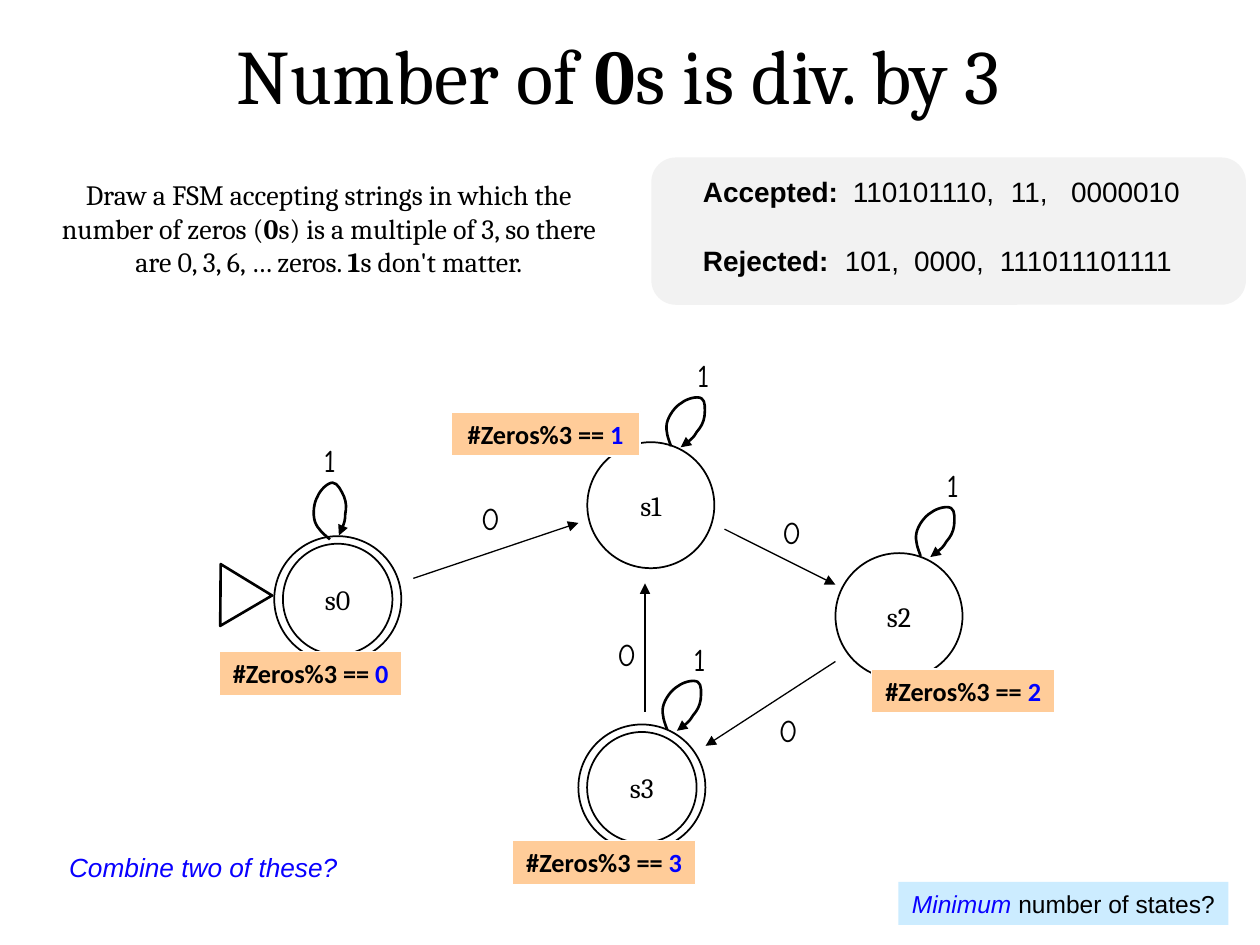
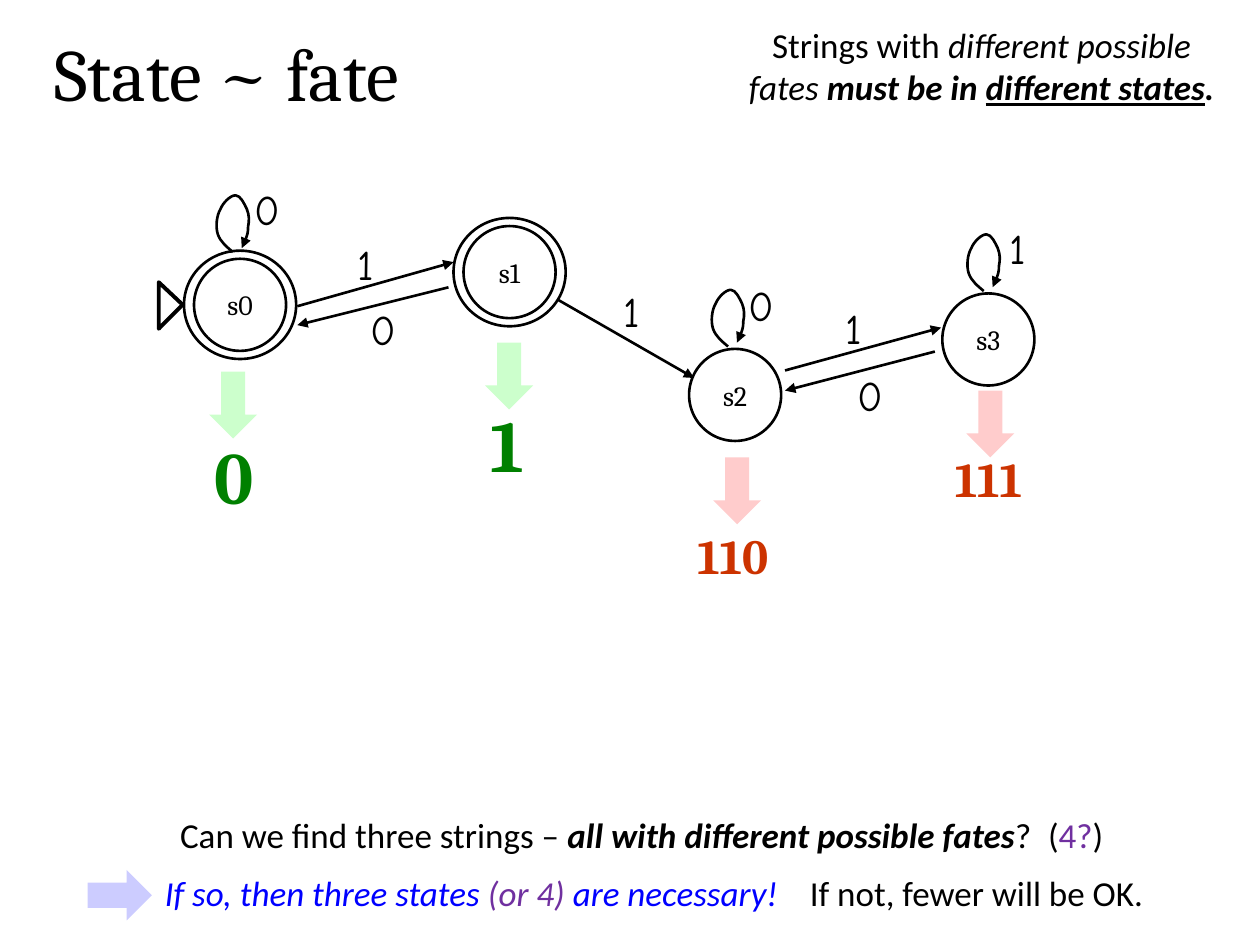
import dataclasses

import lxml.etree
import pptx
import pptx.dml.color
import pptx.enum.shapes
import pptx.enum.text
import pptx.oxml.ns
import pptx.util

Pt = pptx.util.Pt
qn = pptx.oxml.ns.qn
Kind = pptx.enum.shapes.MSO_SHAPE
Align = pptx.enum.text.PP_ALIGN
Anchor = pptx.enum.text.MSO_ANCHOR


@dataclasses.dataclass(frozen=True)
class Theme:
    ink: str = "000000"
    blue: str = "0000FF"
    link: str = "0900FF"
    plum: str = "7030A0"
    gray: str = "F2F2F2"
    sky: str = "CCECFF"
    peach: str = "FFCC99"
    white: str = "FFFFFF"
    mint: str = "CCFFCC"
    rose: str = "FFCCCC"
    green: str = "008000"
    red: str = "CC3300"
    serif: str = "Cambria"
    sans: str = "Arial"
    plain: str = "Calibri"
    hand: str = "Comic Neue"
    head: int = 44
    large: int = 42
    mid: int = 28
    bit: int = 24
    note: int = 20
    mark: int = 18
    text: int = 16
    tag: int = 15
    small: int = 14


THEME = Theme()
BOLD = {"bold": True}
SLANT = {"italic": True}
LOOP = [(10, 32.4), (6.5, 29.5), (2.9, 26.6), (1.4, 22.3), (0, 18), (0.7, 11.5),
        (2.9, 7.9), (4.3, 4.3), (8.6, 0), (11.5, 0), (14.4, 0), (16.6, 5),
        (18, 7.9), (19.4, 11.5), (19.4, 14.4), (18.7, 18), (18.7, 21.6),
        (17.3, 25.9), (15.1, 30.2)]


def tint(code):
    return pptx.dml.color.RGBColor.from_string(code)


def base(name, size, color=THEME.ink, **more):
    return {"name": name, "size": Pt(size), "color": color, **more}


def style(font, form):
    for key, value in form.items():
        if key == "color":
            font.color.rgb = tint(value)
        else:
            setattr(font, key, value)


def write(frame, lines, form, align=Align.CENTER, wrap=True, anchor=Anchor.TOP,
          tabs=(), **space):
    settings = {"word_wrap": wrap, "vertical_anchor": anchor,
                "auto_size": pptx.enum.text.MSO_AUTO_SIZE.NONE}
    for key, value in settings.items():
        setattr(frame, key, value)
    for row, runs in enumerate(lines):
        para = frame.add_paragraph() if row else frame.paragraphs[0]
        para.alignment = align
        for key, value in space.items():
            if row or key != "space_before":
                setattr(para, key, value)
        if tabs:
            stops = lxml.etree.SubElement(para._p.get_or_add_pPr(), qn("a:tabLst"))
            for stop in tabs[row]:
                lxml.etree.SubElement(stops, qn("a:tab"), pos=str(Pt(stop)), algn="l")
        for text, extra in runs:
            run = para.add_run()
            run.text = text
            style(run.font, {**form, **extra})


def place(shape, box):
    for key, value in zip(("left", "top", "width", "height"), box):
        setattr(shape, key, Pt(value))


def title(slide, box, runs, form, align):
    place(slide.shapes.title, box)
    write(slide.shapes.title.text_frame, [runs], form, align)


def words(slide, box, lines, form, **layout):
    shape = slide.shapes.add_textbox(*map(Pt, box))
    write(shape.text_frame, lines, form, **layout)


def paint(shape, fill=None, line=None, width=1):
    shape.shadow.inherit = False
    if fill:
        shape.fill.solid()
        shape.fill.fore_color.rgb = tint(fill)
    else:
        shape.fill.background()
    if line:
        shape.line.color.rgb = tint(line)
        shape.line.width = Pt(width)
    else:
        shape.line.fill.background()


def block(slide, kind, box, fill=None, line=None, width=1, turn=0):
    shape = slide.shapes.add_shape(kind, *map(Pt, box))
    paint(shape, fill, line, width)
    shape.rotation = turn
    return shape


def point(shape):
    line = shape._element.spPr.find(qn("a:ln"))
    lxml.etree.SubElement(line, qn("a:tailEnd"), type="triangle")


def arrow(slide, ends, width):
    kind = pptx.enum.shapes.MSO_CONNECTOR.STRAIGHT
    line = slide.shapes.add_connector(kind, *map(Pt, ends))
    line.line.color.rgb = tint(THEME.ink)
    line.line.width = Pt(width)
    lxml.etree.SubElement(line._element.spPr, qn("a:effectLst"))
    point(line)


def trace(slide, spots, width, close):
    spots = [(Pt(x), Pt(y)) for x, y in spots]
    pen = slide.shapes.build_freeform(*spots[0])
    pen.add_line_segments(spots[1:], close=close)
    shape = pen.convert_to_shape()
    paint(shape, None, THEME.ink, width)
    return shape


def loop(slide, left, top, turn=0):
    shape = trace(slide, [(left + x, top + y) for x, y in LOOP], 1.5, False)
    steps = list(shape._element.iter(qn("a:lnTo")))
    for first in range(0, len(steps), 3):
        curve = lxml.etree.Element(qn("a:cubicBezTo"))
        steps[first].addprevious(curve)
        for step in steps[first:first + 3]:
            curve.append(step[0])
            step.getparent().remove(step)
    shape.rotation = turn
    point(shape)


def ring(slide, mid, size, width):
    wide, high = size
    box = (mid[0] - wide / 2, mid[1] - high / 2, wide, high)
    return block(slide, Kind.OVAL, box, None, THEME.ink, width)


def state(slide, name, mid, size, width, rim=None):
    if rim:
        ring(slide, mid, rim, width)
    shape = ring(slide, mid, size, width)
    write(shape.text_frame, [[(name, {})]], base(THEME.serif, THEME.text),
          wrap=False, anchor=Anchor.MIDDLE)


def tag(slide, left, top, count, width=104.4):
    shape = block(slide, Kind.RECTANGLE, (left, top, width, 25.2),
                  THEME.peach, THEME.white, 0.75)
    write(shape.text_frame,
          [[("#Zeros%3 == ", {}), (count, {"color": THEME.blue})]],
          base(THEME.plain, THEME.tag, bold=True), wrap=False)


def count(slide):
    title(slide, (37.4, 12.2, 632.2, 59.8),
          [("Number of ", {}), ("0", BOLD), ("s is div. by 3", {})],
          base(THEME.serif, THEME.head), Align.CENTER)
    block(slide, Kind.ROUNDED_RECTANGLE, (372.2, 90, 339.8, 84.2), THEME.gray)
    words(slide, (23, 97.9, 329.8, 65.5),
          [[("Draw a FSM accepting strings in which the number of zeros (", {}),
            ("0", BOLD), ("s) is a multiple of 3, so there are 0, 3, 6, … zeros. ", {}),
            ("1", BOLD), ("s don't matter.", {})]],
          base(THEME.serif, THEME.text))
    words(slide, (394.6, 103, 306, 61.2),
          [[("Accepted:", BOLD), ("\t110101110,\t11,\t0000010", {})],
           [("Rejected:", BOLD), ("\t101,\t0000,\t111011101111", {})]],
          base(THEME.sans, THEME.text), align=Align.LEFT,
          tabs=[(85.7, 176, 210.3), (81.1, 120.6, 169.7)],
          line_spacing=0.6, space_before=Pt(28))
    least = block(slide, Kind.RECTANGLE, (513.4, 504, 188.6, 24.5), THEME.sky)
    write(least.text_frame,
          [[("Minimum ", {"color": THEME.link, **SLANT}), ("number of states?", {})]],
          base(THEME.sans, THEME.small), wrap=False, anchor=Anchor.MIDDLE)

    block(slide, Kind.ISOSCELES_TRIANGLE, (123.1, 325.4, 35.3, 29.5),
          None, THEME.ink, 1.5, 90.5)
    for ends in ((236.2, 330.5, 330.5, 298.8), (414, 302.4, 477.4, 334.1),
                 (477.4, 378, 403.2, 426.2), (368.6, 406.8, 368.6, 333.4)):
        arrow(slide, ends, 0.75)
    for name, mid, final in (("s0", (193, 342.4), True), ("s1", (371.9, 288.7), False),
                             ("s2", (513.7, 352.1), False), ("s3", (366.8, 450), True)):
        full = (72.6, 72)
        state(slide, name, mid, (62.6, 63.4) if final else full, 1,
              full if final else None)
    marks = [("0", 267.8, 281.5), ("0", 439.9, 289.4),
             ("0", 437.8, 402.5), ("0", 345.6, 359.3)]
    for left, top, turn in ((178.6, 275.8, 0), (381.6, 224.6, 29.8),
                            (524.2, 287.3, 29.8), (379.4, 386.6, 29.8)):
        loop(slide, left, top, turn)
        right, down = (9.7, -24.5) if turn else (-0.7, -27.4)
        marks.append(("1", left + right, top + down))
    for bit, left, top in marks:
        words(slide, (left, top, 36, 28.8), [[(bit, {})]],
              base(THEME.hand, THEME.mark), align=Align.LEFT)
    words(slide, (32.4, 483.1, 169.9, 25.2), [[("Combine two of these?", {})]],
          base(THEME.sans, THEME.tag, THEME.link, italic=True),
          align=Align.LEFT, wrap=False)
    tag(slide, 257.8, 235.4, "1", 108)
    tag(slide, 125.3, 372.2, "0")
    tag(slide, 498.2, 382.3, "2")
    tag(slide, 293, 480.2, "3")


def fate(slide):
    title(slide, (23.8, 12.2, 264.2, 58.3), [("State ~ fate", {})],
          base(THEME.serif, THEME.large), Align.LEFT)
    note = base(THEME.plain, THEME.note)
    strong = {**BOLD, **SLANT}
    words(slide, (414, 10.1, 293.8, 55.4),
          [[("Strings with ", {}), ("different possible fates ", SLANT),
            ("must be in ", strong), ("different states", {**strong, "underline": True}),
            (".", strong)]], note)

    for name, mid, final in (("s0", (137.2, 174.2), True), ("s1", (291.2, 155.5), True),
                             ("s2", (420.1, 225.7), False), ("s3", (564.8, 194), False)):
        state(slide, name, mid, (52.6, 52.6), 1.5, (64.1, 61.9) if final else None)
    trace(slide, [(90.7, 161.3), (90.7, 187.9), (104.4, 174.2)], 2.25, True)
    for left, top in ((123.1, 111.6), (406.1, 165.6), (552.2, 133.9)):
        loop(slide, left, top)
    for ends in ((169.9, 175, 259.2, 149.8), (256.3, 164.2, 169.9, 185.8),
                 (319, 171.4, 396.7, 216), (448.6, 211.7, 537.8, 187.2),
                 (534.2, 200.9, 448.6, 223.2)):
        arrow(slide, ends, 1.5)
    for bit, left, top in (("0", 138.2, 101.5), ("1", 194.8, 132.5), ("0", 204.5, 169.9),
                           ("1", 346.7, 159.8), ("0", 420.5, 156.2), ("1", 473.4, 169.2),
                           ("0", 483.1, 207.4), ("1", 567, 123.8)):
        words(slide, (left, top, 28.8, 36), [[(bit, {})]],
              base(THEME.hand, THEME.bit), wrap=False, anchor=Anchor.MIDDLE)

    good = (THEME.large, THEME.green, THEME.mint)
    bad = (THEME.mid, THEME.red, THEME.rose)
    for text, box, spot, look in (
            ("0", (110.2, 242.6, 47.5, 58.3), (119.5, 212.4), good),
            ("1", (266.4, 224.6, 47.5, 58.3), (277.2, 195.8), good),
            ("110", (358.6, 296.6, 120.2, 41), (407.5, 261.4), bad),
            ("111", (504.7, 252.7, 120.2, 41), (552.2, 223.2), bad)):
        size, color, fill = look
        words(slide, box, [[(text, {})]], base(THEME.serif, size, color, bold=True))
        block(slide, Kind.DOWN_ARROW, (*spot, 27.4, 38.2), fill)

    plum = {"color": THEME.plum}
    blue = {"color": THEME.blue, **SLANT}
    words(slide, (95.8, 461.5, 545.8, 31.7),
          [[("Can we find three strings – ", {}),
            ("all with different possible fates", strong),
            ("?\t(", {}), ("4?", plum), (")", {})]],
          note, align=Align.LEFT, tabs=[(496,)])
    words(slide, (87.1, 494.6, 583.3, 31.7),
          [[("If so, then three states ", blue), ("(or 4) ", {**plum, **SLANT}),
            ("are necessary!", blue), ("\tIf not, fewer will be OK.", {})]],
          note, align=Align.LEFT, tabs=[(368.6,)])
    hint = block(slide, Kind.DOWN_ARROW, (54, 493.2, 28.8, 36.7), THEME.blue, turn=270)
    color = hint._element.spPr.find(qn("a:solidFill")).find(qn("a:srgbClr"))
    lxml.etree.SubElement(color, qn("a:alpha"), val="20000")


def main():
    deck = pptx.Presentation()
    deck.slide_width, deck.slide_height = Pt(720), Pt(540)
    for draw in (count, fate):
        draw(deck.slides.add_slide(deck.slide_layouts[5]))
    deck.save("out.pptx")


if __name__ == "__main__":
    main()
